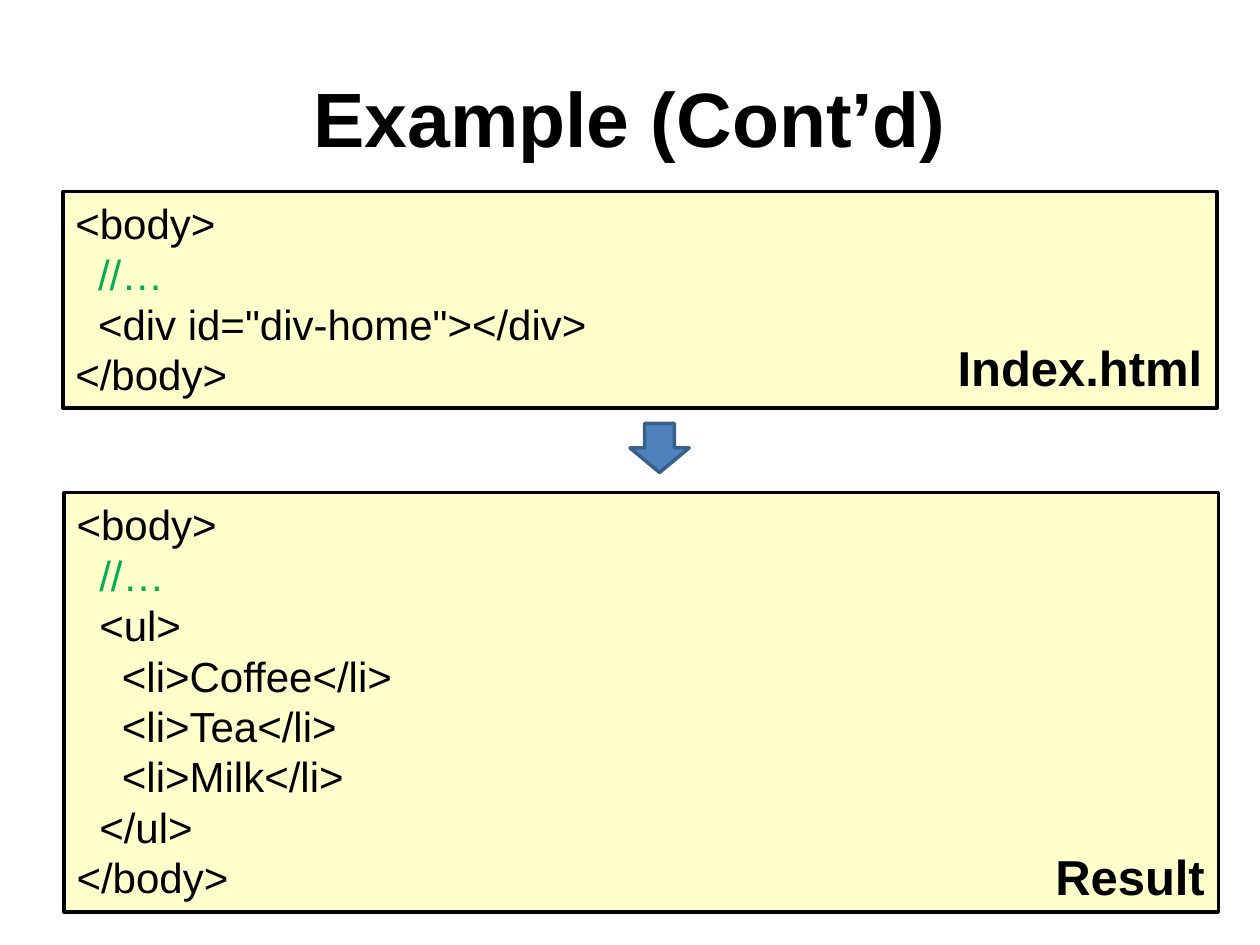
from dataclasses import dataclass

from pptx import Presentation
from pptx import util as u
from pptx.dml.color import RGBColor
from pptx.enum import shapes, text


@dataclass(frozen=True)
class Theme:
    font: str = "Arial"
    ink: str = "000000"
    comment: str = "00B050"
    panel: str = "FFFFCC"
    arrow: str = "4F81BD"
    arrow_edge: str = "3A5F8C"
    title_pt: int = 44
    label_pt: int = 28
    code_pt: int = 24
    line_pt: int = 2


@dataclass(frozen=True)
class Box:
    col: float
    row: float
    cols: float
    rows: float

    def emu(self) -> tuple[int, ...]:
        return tuple(int(CELL * n) for n in (self.col, self.row, self.cols, self.rows))


@dataclass(frozen=True)
class CodeLine:
    words: str
    depth: int = 0
    comment: bool = False


@dataclass(frozen=True)
class Panel:
    box: Box
    lines: tuple[CodeLine, ...]
    label: str
    label_box: Box


THEME = Theme()
COLS, ROWS = 100, 75
CELL = u.Inches(0.1)
INDENT = u.Inches(0.18)

OPENING = (CodeLine("<body>"), CodeLine("//…", 1, True))
CLOSING = (CodeLine("</body>"),)
DRINKS = tuple(CodeLine(f"<li>{name}</li>", 2) for name in ("Coffee", "Tea", "Milk"))

PANELS = (
    Panel(
        Box(5, 15.2, 91.6, 17.2),
        OPENING + (CodeLine('<div id="div-home"></div>', 1),) + CLOSING,
        "Index.html",
        Box(72.6, 26.3, 23.8, 5.7),
    ),
    Panel(
        Box(5.1, 39.1, 91.6, 33.3),
        OPENING + (CodeLine("<ul>", 1),) + DRINKS + (CodeLine("</ul>", 1),) + CLOSING,
        "Result",
        Box(72.8, 66.7, 23.8, 5.7),
    ),
)


def rgb(value: str) -> RGBColor:
    return RGBColor.from_string(value)


def style(p, size: int, color: str, align, bold: bool = False) -> None:
    p.alignment = align
    p.font.name = THEME.font
    p.font.size = u.Pt(size)
    p.font.bold = bold
    p.font.color.rgb = rgb(color)


def add_shape(parent, kind, box: Box, fill: str, line: str):
    sp = parent.add_shape(kind, *box.emu())
    sp.shadow.inherit = False
    sp.fill.solid()
    sp.fill.fore_color.rgb = rgb(fill)
    sp.line.color.rgb = rgb(line)
    sp.line.width = u.Pt(THEME.line_pt)
    return sp


def add_heading(parent, box: Box, words: str, size: int, align, anchor) -> None:
    tf = parent.add_textbox(*box.emu()).text_frame
    tf.word_wrap = True
    tf.vertical_anchor = anchor
    p = tf.paragraphs[0]
    p.text = words
    style(p, size, THEME.ink, align, bold=True)


def add_panel(parent, panel: Panel) -> None:
    group = parent.add_group_shape().shapes
    sp = add_shape(group, shapes.MSO_SHAPE.RECTANGLE, panel.box, THEME.panel, THEME.ink)
    tf = sp.text_frame
    tf.word_wrap = True
    tf.auto_size = text.MSO_AUTO_SIZE.SHAPE_TO_FIT_TEXT
    tf.vertical_anchor = text.MSO_ANCHOR.TOP
    for i, line in enumerate(panel.lines):
        p = tf.add_paragraph() if i else tf.paragraphs[0]
        p.text = line.words
        color = THEME.comment if line.comment else THEME.ink
        style(p, THEME.code_pt, color, text.PP_ALIGN.LEFT)
        p._p.get_or_add_pPr().set("marL", str(INDENT * line.depth))
    add_heading(group, panel.label_box, panel.label, THEME.label_pt,
                text.PP_ALIGN.RIGHT, text.MSO_ANCHOR.TOP)


def main() -> None:
    prs = Presentation()
    prs.slide_width, prs.slide_height = CELL * COLS, CELL * ROWS
    s = prs.slides.add_slide(prs.slide_layouts[6])
    add_heading(s.shapes, Box(5, 3, 90, 12.5), "Example (Cont’d)", THEME.title_pt,
                text.PP_ALIGN.CENTER, text.MSO_ANCHOR.MIDDLE)
    for panel in PANELS:
        add_panel(s.shapes, panel)
    add_shape(s.shapes, shapes.MSO_SHAPE.DOWN_ARROW, Box(50, 33.6, 4.7, 3.9),
              THEME.arrow, THEME.arrow_edge)
    prs.save("out.pptx")


if __name__ == "__main__":
    main()
